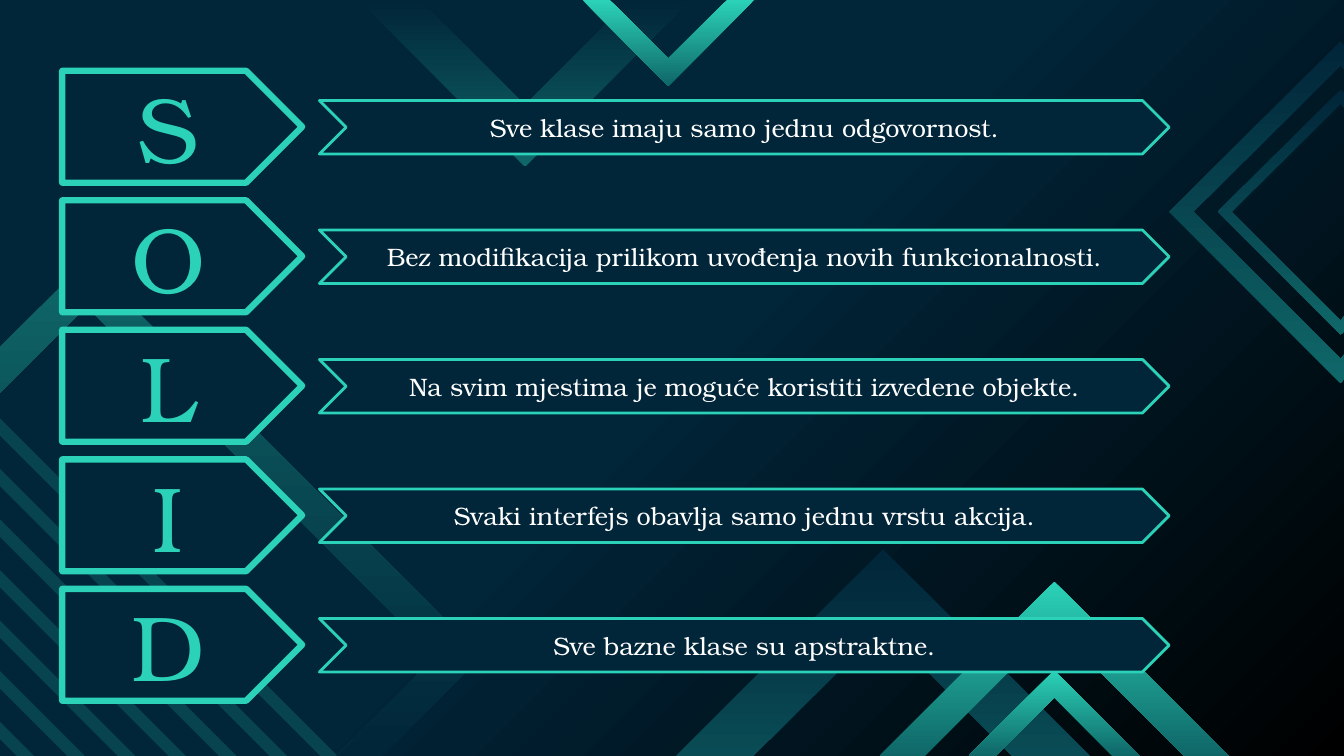
from copy import deepcopy
from dataclasses import dataclass

from lxml import etree
from pptx import Presentation
from pptx.dml.color import RGBColor
from pptx.dml.fill import FillFormat
from pptx.enum.shapes import MSO_SHAPE
from pptx.enum.text import MSO_ANCHOR, PP_ALIGN
from pptx.oxml.ns import qn
from pptx.shapes.autoshape import Shape
from pptx.slide import Slide
from pptx.util import Pt

PLATE = MSO_SHAPE.PENTAGON
RIBBON = MSO_SHAPE.CHEVRON
CENTER = PP_ALIGN.CENTER
MIDDLE = MSO_ANCHOR.MIDDLE

NAVY = RGBColor(0x01, 0x25, 0x39)
BLACK = RGBColor(0x00, 0x00, 0x00)
WHITE = RGBColor(0xFF, 0xFF, 0xFF)
MINT = RGBColor(0x2B, 0xD2, 0xB8)
TEAL = RGBColor(0x0F, 0x67, 0x68)

FONT = "TeX Gyre Bonum"
PAGE_WIDTH, PAGE_HEIGHT = 960, 540
ROW_STEP = 92.5
STRIPE_LEFT, STRIPE_TOP, STRIPE_STEP, STRIPE_DEPTH = -2.9, 295.9, 36.13, 12.4
STRIPE_COUNT = 7
STRIPE_OPACITY = 18000

Point = tuple[float, float]


@dataclass(frozen=True)
class Band:
    points: list[Point]
    top_color: RGBColor
    bottom_color: RGBColor


@dataclass(frozen=True)
class BannerStyle:
    kind: MSO_SHAPE
    left: float
    top: float
    width: float
    height: float
    line_width: float
    font_size: float
    font_color: RGBColor


@dataclass(frozen=True)
class Principle:
    letter: str
    meaning: str


def chevron(center: float, edge: float, tip: float, notch: float) -> list[Point]:
    outer, inner = abs(tip - edge), abs(notch - edge)
    return [(center + outer, edge), (center, tip), (center - outer, edge),
            (center - inner, edge), (center, notch), (center + inner, edge)]


BACK_BANDS = [
    Band([(630.7, 392.4), (874.1, 635.8), (818.6, 635.8), (630.7, 447.8),
          (504.7, 573.1), (477.4, 545.8)], NAVY, TEAL),
    Band(chevron(375, 0, 118.8, 74.9), NAVY, TEAL),
    Band([(835.2, 151.2), (957.6, 273.6), (960, 270.7), (960, 253.4), (957.6, 256.3),
          (852.5, 151.2), (957.6, 46.8), (960, 49.7), (960, 32.4), (957.6, 29.5)],
         NAVY, TEAL),
    Band([(869.8, 151.2), (957.6, 239), (960, 236.9), (960, 226.1), (957.6, 229),
          (879.8, 151.2), (957.6, 74.2), (960, 77), (960, 66.2), (957.6, 64.1)],
         NAVY, TEAL),
]
FRONT_BANDS = [
    Band([(240.5, 540), (311, 468.7), (61.9, 218.9), (-2.9, 283.7), (-2.9, 250.6),
          (61.9, 186.5), (344.2, 468.7), (272.9, 540)], TEAL, NAVY),
    Band(chevron(753.1, PAGE_HEIGHT, 415.4, 447.1), MINT, TEAL),
    Band(chevron(753.1, PAGE_HEIGHT, 478.8, 498.2), MINT, TEAL),
    Band(chevron(477.4, 0, 61.2, 41.8), MINT, TEAL),
]
LETTER_STYLE = BannerStyle(PLATE, 44.4, 50.6, 171.4, 79.9, 4.5, 66, MINT)
MEANING_STYLE = BannerStyle(RIBBON, 228.2, 71.8, 607, 38.2, 2, 18, WHITE)
PRINCIPLES = [
    Principle("S", "Sve klase imaju samo jednu odgovornost."),
    Principle("O", "Bez modifikacija prilikom uvođenja novih funkcionalnosti."),
    Principle("L", "Na svim mjestima je moguće koristiti izvedene objekte."),
    Principle("I", "Svaki interfejs obavlja samo jednu vrstu akcija."),
    Principle("D", "Sve bazne klase su apstraktne."),
]


def fill_gradient(fill: FillFormat, first: RGBColor, last: RGBColor, angle: float) -> None:
    fill.gradient()
    fill.gradient_angle = angle
    for stop, color, position in zip(fill.gradient_stops, (first, last), (0, 1)):
        stop.color.rgb = color
        stop.position = position


def paint_background(page: Slide) -> None:
    fill = page.background.fill
    fill_gradient(fill, NAVY, BLACK, 315)
    first_stop = page.background._cSld.find(".//" + qn("a:gs"))
    middle_stop = deepcopy(first_stop)
    middle_stop.set("pos", "50000")
    first_stop.addnext(middle_stop)


def draw_outline(page: Slide, points: list[Point]) -> Shape:
    corners = [(Pt(x), Pt(y)) for x, y in points]
    builder = page.shapes.build_freeform(*corners[0])
    builder.add_line_segments(corners[1:], close=True)
    outline = builder.convert_to_shape()
    outline.shadow.inherit = False
    outline.line.fill.background()
    return outline


def draw_band(page: Slide, band: Band) -> None:
    outline = draw_outline(page, band.points)
    fill_gradient(outline.fill, band.top_color, band.bottom_color, 270)


def draw_stripe(page: Slide, top: float) -> None:
    low = top + STRIPE_DEPTH
    stripe = draw_outline(page, [
        (STRIPE_LEFT + PAGE_HEIGHT - low, PAGE_HEIGHT), (STRIPE_LEFT, low),
        (STRIPE_LEFT, top), (STRIPE_LEFT + PAGE_HEIGHT - top, PAGE_HEIGHT)])
    stripe.fill.solid()
    stripe.fill.fore_color.rgb = MINT
    color = stripe._element.spPr.find(qn("a:solidFill") + "/" + qn("a:srgbClr"))
    etree.SubElement(color, qn("a:alpha")).set("val", str(STRIPE_OPACITY))


def draw_banner(page: Slide, style: BannerStyle, row: int, text: str) -> None:
    box = page.shapes.add_shape(style.kind, Pt(style.left), Pt(style.top + row * ROW_STEP),
                                Pt(style.width), Pt(style.height))
    box.shadow.inherit = False
    box.fill.solid()
    box.fill.fore_color.rgb = NAVY
    box.line.color.rgb = MINT
    box.line.width = Pt(style.line_width)
    box.text_frame.vertical_anchor = MIDDLE
    para = box.text_frame.paragraphs[0]
    para.text = text
    para.alignment = CENTER
    para.font.name = FONT
    para.font.size = Pt(style.font_size)
    para.font.color.rgb = style.font_color


def main() -> None:
    deck = Presentation()
    deck.slide_width, deck.slide_height = Pt(PAGE_WIDTH), Pt(PAGE_HEIGHT)
    page = deck.slides.add_slide(deck.slide_layouts[6])
    paint_background(page)
    for band in BACK_BANDS:
        draw_band(page, band)
    for index in range(STRIPE_COUNT):
        draw_stripe(page, STRIPE_TOP + index * STRIPE_STEP)
    for band in FRONT_BANDS:
        draw_band(page, band)
    for row, principle in enumerate(PRINCIPLES):
        draw_banner(page, LETTER_STYLE, row, principle.letter)
        draw_banner(page, MEANING_STYLE, row, principle.meaning)
    deck.save("out.pptx")


if __name__ == "__main__":
    main()
